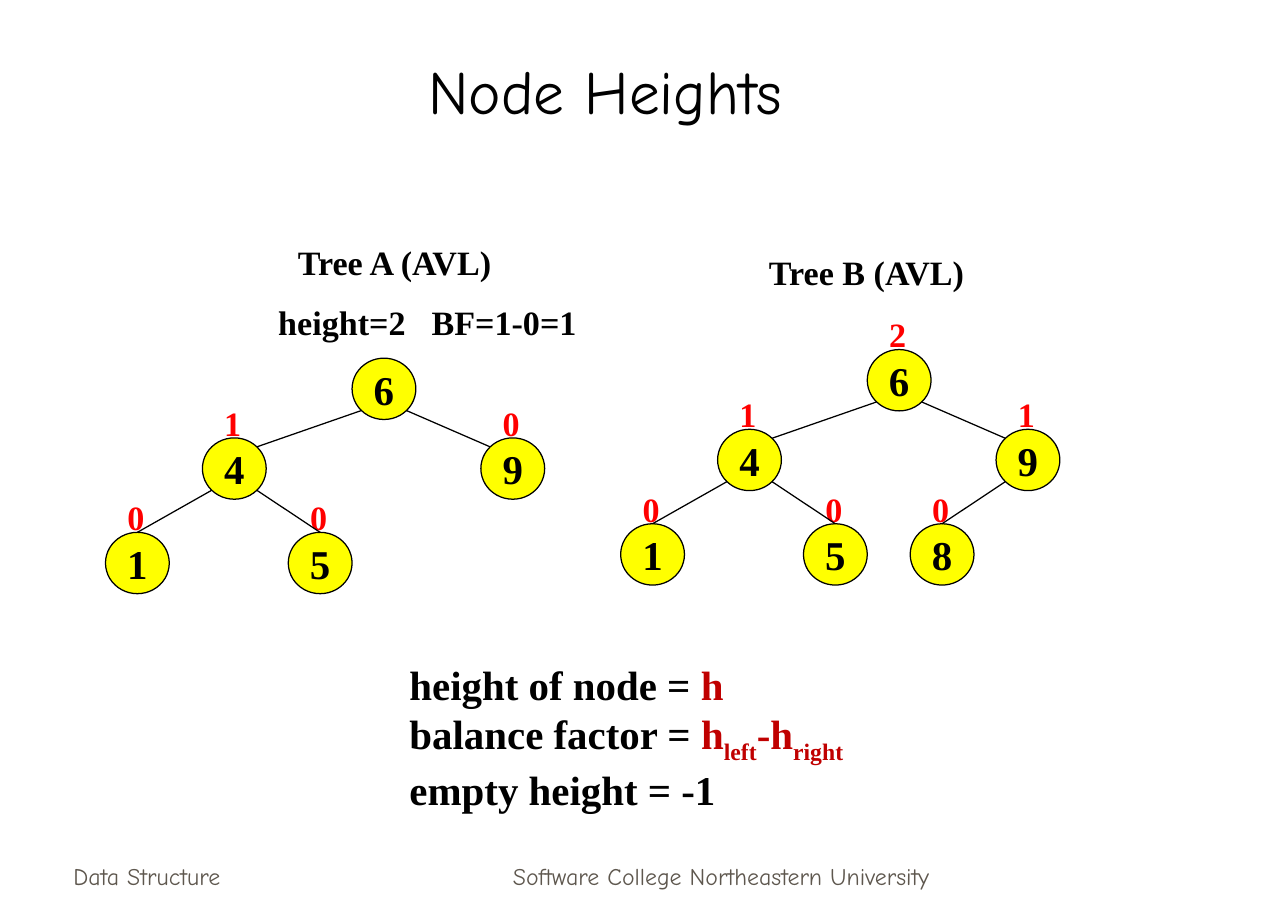
from lxml.etree import SubElement
from pptx import Presentation
from pptx.dml.color import RGBColor
from pptx.enum.shapes import MSO_CONNECTOR, MSO_SHAPE
from pptx.enum.text import MSO_ANCHOR, PP_ALIGN
from pptx.oxml.ns import qn
from pptx.util import Inches, Pt

BLACK = RGBColor(0x00, 0x00, 0x00)
RED = RGBColor(0xFF, 0x00, 0x00)
DARK_RED = RGBColor(0xC0, 0x00, 0x00)
YELLOW = RGBColor(0xFF, 0xFF, 0x00)
BROWN = RGBColor(0x5E, 0x57, 0x4E)
SERIF = "Times New Roman"
COMIC = "Comic Neue"

# Each node: key, height label (None for unlabelled), parent position, place
TREES = [
    ((2.87, 2.92), [
        ("6", None, None, "root"),
        ("4", "1", "root", "left"),
        ("9", "0", "root", "right"),
        ("1", "0", "left", "left left"),
        ("5", "0", "left", "left right"),
    ]),
    ((7.07, 2.85), [
        ("6", "2", None, "root"),
        ("4", "1", "root", "left"),
        ("9", "1", "root", "right"),
        ("1", "0", "left", "left left"),
        ("5", "0", "left", "left right"),
        ("8", "0", "right", "right left"),
    ]),
]
# Offsets of each place from the root's top left corner
PLACES = {
    "root": (0, 0),
    "left": (-1.22, 0.65),
    "right": (1.05, 0.65),
    "left left": (-2.01, 1.42),
    "left right": (-0.52, 1.42),
    "right left": (0.35, 1.42),
}
NODE_WIDTH, NODE_HEIGHT = 0.52, 0.5
DIAGONAL = 0.354  # share of the ellipse's size from centre to a 45° point

CAPTIONS = [
    ("Tree A (AVL)", (2.33, 1.92, 2.83, 0.44)),
    ("Tree B (AVL)", (6.17, 2, 1.93, 0.44)),
    ("height=2\tBF=1-0=1", (2.17, 2.41, 2.83, 0.44)),
]
BALANCE_TAB = 1.25
# Runs: text, colour, subscript
FORMULAS = [
    [("height of node = ", BLACK, False), ("h", DARK_RED, False)],
    [("balance factor = ", BLACK, False), ("h", DARK_RED, False),
     ("left", DARK_RED, True), ("-h", DARK_RED, False),
     ("right", DARK_RED, True)],
    [("empty height = -1", BLACK, False)],
]
FOOTERS = [
    ("Data Structure", (0.5, 6.81, 2.19, 0.5), PP_ALIGN.LEFT),
    ("Software College Northeastern University",
     (3.59, 6.81, 4.58, 0.5), PP_ALIGN.CENTER),
]


def add_run(paragraph, text, size=20, font=SERIF, color=BLACK, bold=True,
            subscript=False):
    run = paragraph.add_run()
    run.text = text
    run.font.size = Pt(size)
    run.font.name = font
    run.font.bold = bold
    run.font.color.rgb = color
    if subscript:
        run.font._element.set("baseline", "-25000")


def write(shape, text, align=PP_ALIGN.LEFT, anchor=MSO_ANCHOR.TOP, wrap=True,
          **font_format):
    frame = shape.text_frame
    frame.word_wrap = wrap
    frame.vertical_anchor = anchor
    paragraph = frame.paragraphs[0]
    paragraph.alignment = align
    add_run(paragraph, text, **font_format)
    return paragraph


def add_box(slide, box):
    return slide.shapes.add_textbox(*map(Inches, box))


def add_node(slide, key, left, top):
    node = slide.shapes.add_shape(
        MSO_SHAPE.OVAL, Inches(left), Inches(top),
        Inches(NODE_WIDTH), Inches(NODE_HEIGHT))
    node.shadow.inherit = False
    node.fill.solid()
    node.fill.fore_color.rgb = YELLOW
    node.line.color.rgb = BLACK
    node.line.width = Pt(0.75)
    write(node, key, align=PP_ALIGN.CENTER, anchor=MSO_ANCHOR.MIDDLE,
          wrap=False, size=24)
    return node


def add_edge(slide, parent, child, is_leaf):
    """Join a parent's lower diagonal point to its child."""
    parent_x = parent.left + parent.width // 2
    child_x = child.left + child.width // 2
    side = 1 if child_x > parent_x else -1
    reach_x = int(DIAGONAL * parent.width)
    reach_y = int(DIAGONAL * parent.height)
    edge = slide.shapes.add_connector(
        MSO_CONNECTOR.STRAIGHT,
        parent_x + side * reach_x, parent.top + parent.height // 2 + reach_y,
        child_x - side * reach_x, child.top + child.height // 2 - reach_y)
    if is_leaf:
        edge.end_connect(child, 0)
    edge.line.color.rgb = BLACK
    edge.line.width = Pt(0.75)
    SubElement(edge._element.spPr, qn("a:effectLst"))


def add_tree(slide, root, nodes):
    root_left, root_top = root
    spots = {place: (root_left + dx, root_top + dy)
             for place, (dx, dy) in PLACES.items()}
    for _, height, _, place in nodes:
        if height is not None:
            left, top = spots[place]
            label = add_box(slide, (left + 0.08, top - 0.34, 0.34, 0.44))
            write(label, height, wrap=False, color=RED)
    shapes = {place: add_node(slide, key, *spots[place])
              for key, _, _, place in nodes}
    for _, _, parent, place in nodes:
        if parent:
            add_edge(slide, shapes[parent], shapes[place],
                     is_leaf=parent != "root")


def main():
    presentation = Presentation()
    presentation.slide_width = Inches(10.5)
    presentation.slide_height = Inches(7.5)
    slide = presentation.slides.add_slide(presentation.slide_layouts[5])

    title = slide.shapes.title
    title.left, title.top = Inches(0.47), Inches(0.25)
    title.width, title.height = Inches(8.93), Inches(0.83)
    write(title, "Node Heights", align=PP_ALIGN.CENTER,
          anchor=MSO_ANCHOR.BOTTOM, size=36, font=COMIC, bold=False)

    for root, nodes in TREES:
        add_tree(slide, root, nodes)

    for text, box in CAPTIONS:
        paragraph = write(add_box(slide, box), text)
        if "\t" in text:
            properties = paragraph._p.get_or_add_pPr()
            tabs = SubElement(properties, qn("a:tabLst"))
            SubElement(tabs, qn("a:tab"), pos=str(Inches(BALANCE_TAB)),
                       algn="l")

    frame = add_box(slide, (3.24, 5.33, 3.74, 1.36)).text_frame
    frame.word_wrap = True
    for index, runs in enumerate(FORMULAS):
        paragraph = frame.add_paragraph() if index else frame.paragraphs[0]
        for text, color, subscript in runs:
            add_run(paragraph, text, size=24, color=color,
                    subscript=subscript)

    for text, box, align in FOOTERS:
        write(add_box(slide, box), text, align=align,
              anchor=MSO_ANCHOR.BOTTOM, size=14, font=COMIC, color=BROWN,
              bold=False)

    presentation.save("out.pptx")


if __name__ == "__main__":
    main()
